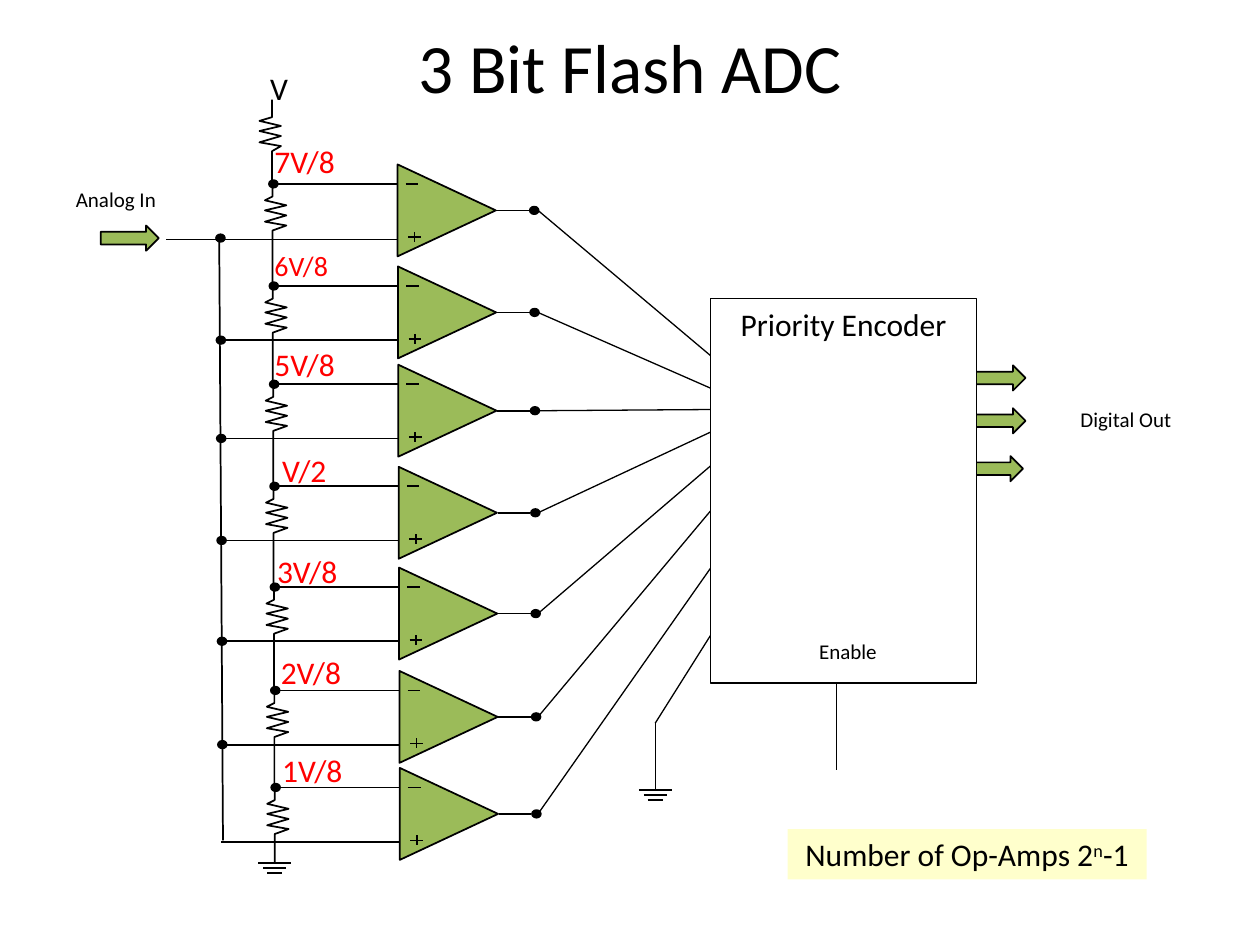
"""Builds the 3 bit flash ADC circuit slide."""
from itertools import pairwise
from lxml import etree
from pptx import Presentation
from pptx.dml.color import RGBColor
from pptx.enum import shapes as kinds, text as txt
from pptx.oxml import ns
from pptx.util import Inches, Pt

COLORS = {"ink": "000000", "green": "9BBB59", "cream": "FFFFCC", "paper": "FFFFFF", "red": "FF0000"}
SHAPE = kinds.MSO_SHAPE

deck = Presentation()
deck.slide_width, deck.slide_height = Inches(10), Inches(7.5)
slide = deck.slides.add_slide(deck.slide_layouts[6])


def rgb(name):
    return RGBColor.from_string(COLORS[name])


def put_text(content, left, top, width, height, size=18, color="ink", fill=None, border=None,
             align=txt.PP_ALIGN.CENTER, anchor=txt.MSO_ANCHOR.TOP, wrap=False, grow=True, raised=()):
    box = [Inches(v) for v in (left, top, width, height)]
    if fill:
        holder = slide.shapes.add_shape(SHAPE.RECTANGLE, *box)
        holder.shadow.inherit = False
        holder.fill.solid()
        holder.fill.fore_color.rgb = rgb(fill)
        if border:
            holder.line.color.rgb = rgb("ink")
            holder.line.width = Pt(border)
        else:
            holder.line.fill.background()
    else:
        holder = slide.shapes.add_textbox(*box)
    frame = holder.text_frame
    frame.word_wrap = wrap
    frame.vertical_anchor = anchor
    frame.auto_size = txt.MSO_AUTO_SIZE.SHAPE_TO_FIT_TEXT if grow else txt.MSO_AUTO_SIZE.NONE
    paragraph = frame.paragraphs[0]
    paragraph.alignment = align
    for part in content if isinstance(content, list) else [content]:
        run = paragraph.add_run()
        run.text = part
        run.font.name, run.font.size = "Calibri", Pt(size)
        run.font.color.rgb = rgb(color)
        if part in raised:
            run.font._element.set("baseline", "30000")


node_levels = [1.46, 2.27, 3.05, 3.86, 4.66, 5.48, 6.25]
encoder_inputs = [2.84, 3.09, 3.25, 3.42, 3.68, 4.03, 4.48]
ground_level = 6.85
zigzag_steps = [0, 0.03, 0.07, 0.11, 0.15, 0.2, 0.23, 0.27]

solids = [(SHAPE.RIGHT_ARROW, left, top, 0.46, 0.2, 0, "green")
          for left, top in [(0.8, 1.79), (7.68, 2.9), (7.68, 3.24), (7.66, 3.62)]]
wires = [
    (1.32, 1.9, 3.15, 1.9, 0.75),
    (1.74, 1.9, 1.77, 6.67, 1),
    (5.2, 6.27, 5.2, 5.74, 0.75),
    (5.2, 5.74, 5.66, 5.01, 0.75),
    (6.64, 6.11, 6.64, 5.43, 1),
]
for center, level in [(2.18, ground_level), (5.2, 6.27)]:
    for step, half in enumerate([0.13, 0.09, 0.06]):
        wires.append((center - half, level + 0.04 * step, center + half, level + 0.04 * step, 1))

for stage, (level, target) in enumerate(zip(node_levels, encoder_inputs)):
    drift = 0.003 * stage
    output, plus = level + 0.21, level + 0.43
    solids.append((SHAPE.ISOSCELES_TRIANGLE, 3.18 + drift, output - 0.39, 0.73, 0.78, 90, "green"))
    dots = [(2.17, level), (4.24, output)]
    if stage < len(node_levels) - 1:
        dots.append((1.75, plus))
    for x, y in dots:
        solids.append((SHAPE.OVAL, x + drift - 0.035, y - 0.03, 0.07, 0.06, 0, "ink"))
    wires += [
        (2.17 + drift, level, 3.16 + drift, level, 1),
        (3.94 + drift, output, 4.2 + drift, output, 1),
        (3.22 + drift, level, 3.32 + drift, level, 1),
        (3.24 + drift, plus - 0.01, 3.34 + drift, plus - 0.01, 1),
        (3.29 + drift, plus - 0.05, 3.29 + drift, plus + 0.03, 1),
        (4.27, output, 5.66, target, 0.75),
    ]
    if stage:
        wires.append((1.74 + drift, plus, 3.16 + drift, plus, 1))

for kind, left, top, width, height, turn, fill in solids:
    solid = slide.shapes.add_shape(kind, Inches(left), Inches(top), Inches(width), Inches(height))
    solid.rotation = turn
    solid.shadow.inherit = False
    solid.fill.solid()
    solid.fill.fore_color.rgb = rgb(fill)
    solid.line.color.rgb = rgb("ink")
    solid.line.width = Pt(1)

for x1, y1, x2, y2, weight in wires:
    wire = slide.shapes.add_connector(kinds.MSO_CONNECTOR.STRAIGHT,
                                      Inches(x1), Inches(y1), Inches(x2), Inches(y2))
    wire.line.color.rgb = rgb("ink")
    wire.line.width = Pt(weight)
    etree.SubElement(wire._element.spPr, ns.qn("a:effectLst"))

for rung, (start, end) in enumerate(pairwise([0.79, *node_levels, ground_level])):
    x = 2.16 + 0.003 * rung
    jag_left, jag_right = (0.06, 0.11) if rung else (0.1, 0.07)
    first = start + (0.1 if rung else 0.14)
    jags = [0] + [-jag_left, jag_right] * 3 + [0]
    points = [(x + jag, first + step) for jag, step in zip(jags, zigzag_steps)] + [(x, end)]
    path_builder = slide.shapes.build_freeform(Inches(x), Inches(start))
    path_builder.add_line_segments([(Inches(px), Inches(py)) for px, py in points], close=False)
    resistor = path_builder.convert_to_shape()
    resistor.shadow.inherit = False
    resistor.fill.background()
    resistor.line.color.rgb = rgb("ink")
    resistor.line.width = Pt(1)

put_text("3 Bit Flash ADC", 0.5, 0.17, 9, 0.7, size=39.6, anchor=txt.MSO_ANCHOR.MIDDLE, wrap=True, grow=False)
put_text(["Number of Op-Amps 2", "n", "-1"], 6.25, 6.58, 2.85, 0.4, fill="cream", raised=("n",))
put_text("V", 2.04, 0.5, 0.35, 0.4)
put_text("Priority Encoder", 5.64, 2.37, 2.11, 3.05, fill="paper", border=0.75, wrap=True, grow=False)
for caption, left, top, width in [("Analog In", 0.33, 1.43, 1.18), ("Digital Out", 8.29, 3.18, 1.29),
                                  ("Enable", 6.28, 5.02, 0.9)]:
    put_text(caption, left, top, width, 0.33, size=12, fill="paper")
for voltage, left, top, size in [("7V/8", 2.08, 1.08, 18), ("6V/8", 2.08, 1.92, 16), ("5V/8", 2.08, 2.69, 18),
                                 ("V/2", 2.14, 3.53, 18), ("3V/8", 2.1, 4.33, 18), ("2V/8", 2.13, 5.13, 18),
                                 ("1V/8", 2.14, 5.91, 18)]:
    put_text(voltage, left, top, 0.75, 0.4, size=size, color="red", align=txt.PP_ALIGN.LEFT, wrap=True)

deck.save("out.pptx")
